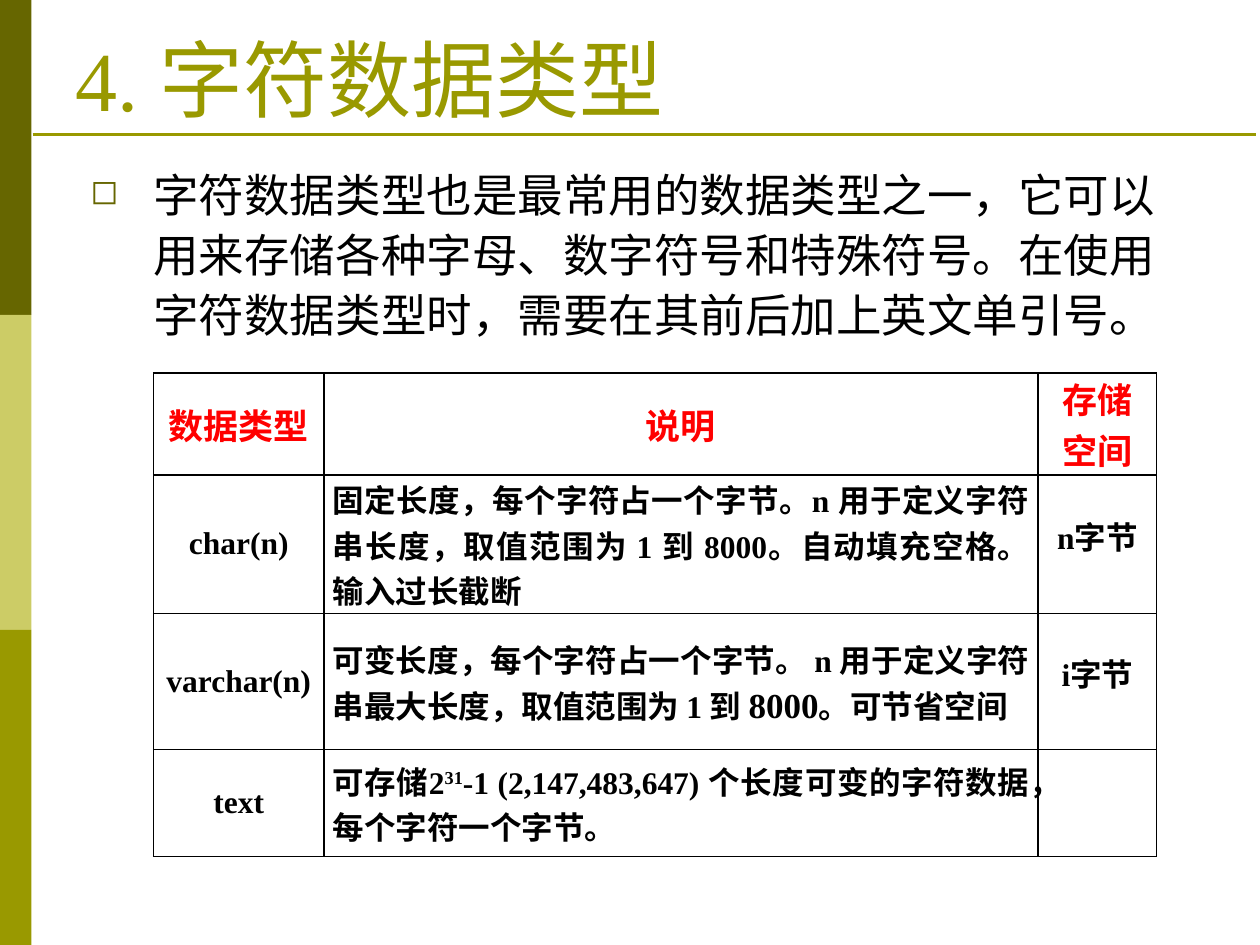
from lxml.etree import SubElement
from pptx import Presentation
from pptx.dml.color import RGBColor
from pptx.enum.shapes import MSO_CONNECTOR, MSO_SHAPE
from pptx.enum.text import MSO_ANCHOR, PP_ALIGN
from pptx.oxml.ns import qn
from pptx.util import Inches, Pt

COLOURS = {
    "dark": "666600",
    "light": "CCCC66",
    "olive": "999900",
    "text": "000000",
    "heading": "FF0000",
}
FONT = "Times New Roman"
COLUMN_WIDTHS = [1.35, 5.67, 0.94]
ROW_HEIGHTS = [0.81, 1.1, 1.08, 0.85]
ROWS = [
    ["数据类型", "说明", "存储空间"],
    ["char(n)",
     "固定长度，每个字符占一个字节。n 用于定义字符串长度，取值范围为 1 到 8000。自动填充空格。输入过长截断",
     "n字节"],
    ["varchar(n)",
     [("可变长度，每个字符占一个字节。 n 用于定义字符串最大长度，取值范围为 1 到 ", 18, 0),
      ("8000", 20, 0), ("。可节省空间", 18, 0)],
     "i字节"],
    ["text",
     [("可存储2", 18, 0), ("31", 18, 30000),
      ("-1 (2,147,483,647) 个长度可变的字符数据，每个字符一个字节。", 18, 0)],
     ""],
]


def colour(name):
    return RGBColor.from_string(COLOURS[name])


def format_run(run, size, colour_name, bold=False):
    run.font.name = FONT
    run.font.size = Pt(size)
    run.font.bold = bold
    run.font.color.rgb = colour(colour_name)


def add_side_bar(slide, left, top, width, height):
    names = ["dark", "light", "olive"]
    part = height / len(names)
    for index, name in enumerate(names):
        shape = slide.shapes.add_shape(
            MSO_SHAPE.RECTANGLE, Inches(left), Inches(top + index * part),
            Inches(width), Inches(part))
        shape.shadow.inherit = False
        shape.fill.solid()
        shape.fill.fore_color.rgb = colour(name)
        shape.line.fill.background()


def add_text(slide, left, top, width, height, text, size, colour_name):
    box = slide.shapes.add_textbox(
        Inches(left), Inches(top), Inches(width), Inches(height))
    frame = box.text_frame
    frame.word_wrap = True
    frame.text = text
    format_run(frame.paragraphs[0].runs[0], size, colour_name)
    return frame


def add_title(slide, left, top, width, height):
    frame = add_text(slide, left, top, width, height, "4. 字符数据类型", 48, "olive")
    frame.vertical_anchor = MSO_ANCHOR.BOTTOM
    rule = slide.shapes.add_connector(
        MSO_CONNECTOR.STRAIGHT, Inches(0.26), Inches(top + height),
        Inches(9.97), Inches(top + height))
    rule.line.color.rgb = colour("olive")
    rule.line.width = Pt(1.5)
    SubElement(rule._element.spPr, qn("a:effectLst"))


def add_body(slide, left, top, width, height):
    frame = add_text(
        slide, left, top, width, height,
        "字符数据类型也是最常用的数据类型之一，它可以用来存储各种字母、数字符号和特殊符号。"
        "在使用字符数据类型时，需要在其前后加上英文单引号。", 26, "text")
    paragraph = frame.paragraphs[0]
    paragraph.line_spacing = 1.1
    properties = paragraph._p.get_or_add_pPr()
    properties.set("marL", str(Inches(0.62)))
    properties.set("indent", str(Inches(-0.5)))
    bullet_colour = SubElement(properties, qn("a:buClr"))
    SubElement(bullet_colour, qn("a:srgbClr"), val=COLOURS["dark"])
    SubElement(properties, qn("a:buSzPct"), val="75000")
    SubElement(properties, qn("a:buChar"), char="◻")


def set_borders(cell):
    properties = cell._tc.get_or_add_tcPr()
    for side in ("lnL", "lnR", "lnT", "lnB"):
        line = SubElement(properties, qn(f"a:{side}"), w=str(Pt(1)))
        fill = SubElement(line, qn("a:solidFill"))
        SubElement(fill, qn("a:srgbClr"), val=COLOURS["text"])


def fill_cell(cell, content, is_header, column):
    set_borders(cell)
    cell.fill.background()
    cell.margin_left = cell.margin_right = Inches(0.07)
    cell.margin_top = 0
    cell.margin_bottom = Inches(0.14) if column == 2 and not is_header else 0
    cell.vertical_anchor = MSO_ANCHOR.MIDDLE
    if not content:
        return
    paragraph = cell.text_frame.paragraphs[0]
    justified = column == 1 and not is_header
    paragraph.alignment = PP_ALIGN.JUSTIFY if justified else PP_ALIGN.CENTER
    if isinstance(content, str):
        content = [(content, 20 if is_header else 18, 0)]
    for text, size, baseline in content:
        run = paragraph.add_run()
        run.text = text
        format_run(run, size, "heading" if is_header else "text", True)
        if baseline:
            run._r.get_or_add_rPr().set("baseline", str(baseline))


def add_type_table(slide, left, top, width, height):
    table = slide.shapes.add_table(
        len(ROWS), len(COLUMN_WIDTHS), Inches(left), Inches(top),
        Inches(width), Inches(height)).table
    table.first_row = False
    table.horz_banding = False
    for column, column_width in zip(table.columns, COLUMN_WIDTHS):
        column.width = Inches(column_width)
    for row, row_height in zip(table.rows, ROW_HEIGHTS):
        row.height = Inches(row_height)
    for row_index, contents in enumerate(ROWS):
        for column_index, content in enumerate(contents):
            fill_cell(table.cell(row_index, column_index), content,
                      row_index == 0, column_index)


def main():
    presentation = Presentation()
    presentation.slide_width = Inches(10)
    presentation.slide_height = Inches(7.5)
    slide = presentation.slides.add_slide(presentation.slide_layouts[6])
    add_side_bar(slide, 0, 0, 0.25, 7.5)
    add_title(slide, 0.5, 0.3, 9, 0.77)
    add_body(slide, 0.5, 1.23, 9, 1.57)
    add_type_table(slide, 1.22, 2.96, sum(COLUMN_WIDTHS), sum(ROW_HEIGHTS))
    presentation.save("out.pptx")


if __name__ == "__main__":
    main()
